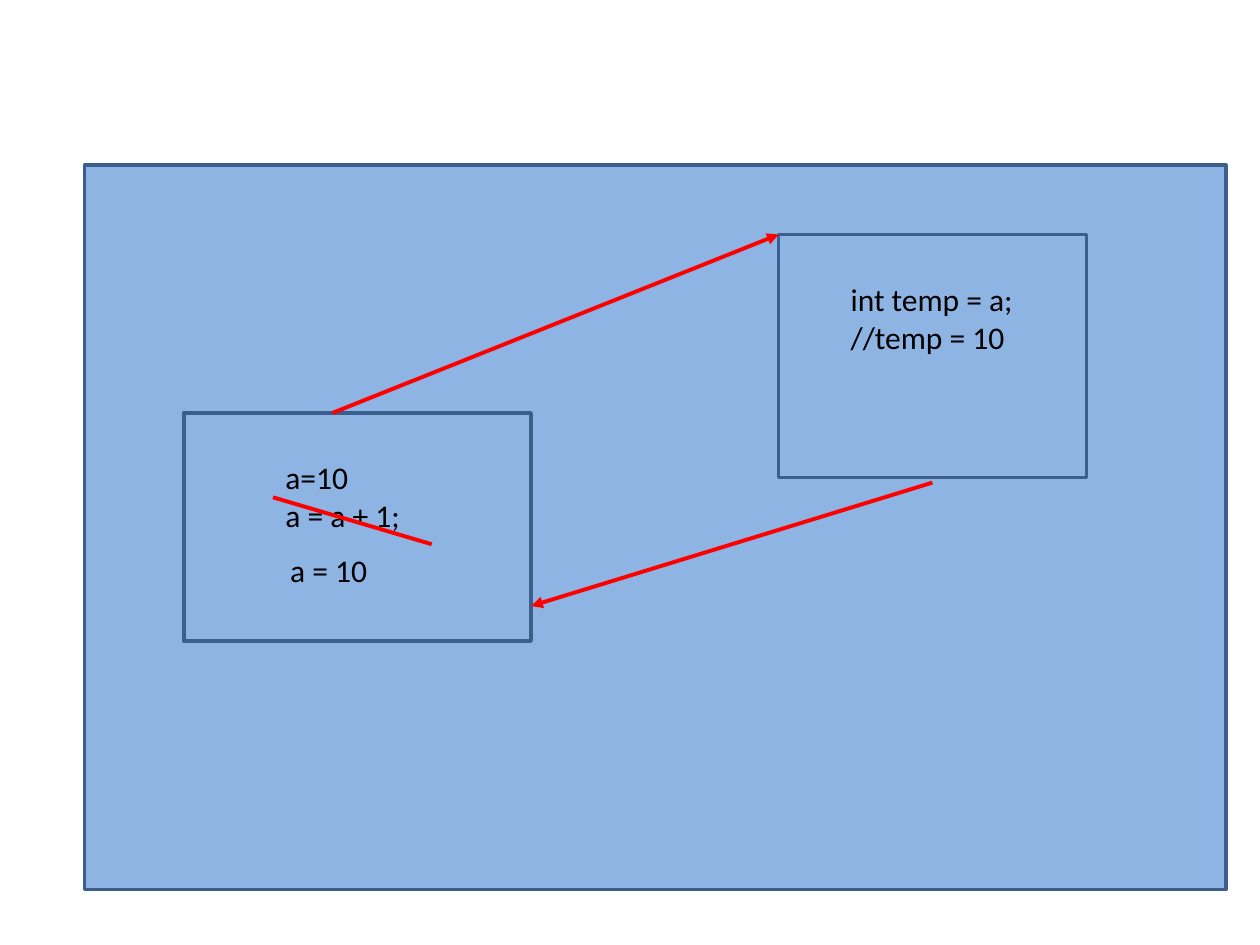
from lxml.etree import SubElement
from pptx import Presentation
from pptx.dml.color import RGBColor as Color
from pptx.enum.shapes import MSO_CONNECTOR as Connector, MSO_SHAPE as Shape
from pptx.enum.text import MSO_AUTO_SIZE as AutoSize
from pptx.oxml.ns import qn
from pptx.util import Pt

THEME = {
    "fill": Color.from_string("8EB4E3"),
    "border": Color.from_string("3A5F8C"),
    "accent": Color.from_string("FF0000"),
    "text": Color.from_string("000000"),
    "font": "Calibri",
    "size": 18,
    "border_width": 2,
    "line_width": 2.25,
}

# Content: left, top, width, height in points
BOXES = [
    (48.3, 94.3, 652.2, 414),     # memory area
    (105, 236, 198.5, 130.3),     # caller
    (445, 134, 175.8, 139),       # called method
]
NOTES = [
    ((156, 258.3, 108, 51), ["a=10", "a = a + 1;"]),
    ((479, 156.5, 119, 51), ["int temp = a;", "//temp = 10"]),
    ((158.7, 311.3, 119, 29), ["a = 10"]),
]
# Start, end, arrowhead at the end
LINES = [
    ((190, 236), (445, 134), True),         # call
    ((532.8, 275.8), (303.5, 346.3), True),   # return
    ((156, 284.2), (246.7, 311), False),    # strike-out
]


def add_box(page, frame):
    box = page.shapes.add_shape(Shape.RECTANGLE, *map(Pt, frame))
    box.shadow.inherit = False
    box.fill.solid()
    box.fill.fore_color.rgb = THEME["fill"]
    box.line.color.rgb = THEME["border"]
    box.line.width = Pt(THEME["border_width"])


def add_note(page, frame, rows):
    text_frame = page.shapes.add_textbox(*map(Pt, frame)).text_frame
    text_frame.word_wrap = True
    text_frame.auto_size = AutoSize.SHAPE_TO_FIT_TEXT
    text_frame.text = "\n".join(rows)
    for para in text_frame.paragraphs:
        for span in para.runs:
            span.font.name = THEME["font"]
            span.font.size = Pt(THEME["size"])
            span.font.color.rgb = THEME["text"]


def add_line(page, start, end, arrow):
    line = page.shapes.add_connector(Connector.STRAIGHT, *map(Pt, start + end))
    line.line.color.rgb = THEME["accent"]
    line.line.width = Pt(THEME["line_width"])
    if arrow:
        SubElement(line.line._get_or_add_ln(), qn("a:tailEnd"), type="triangle")
    SubElement(line._element.spPr, qn("a:effectLst"))


def main():
    deck = Presentation()
    deck.slide_width, deck.slide_height = Pt(720), Pt(540)
    page = deck.slides.add_slide(deck.slide_layouts[6])
    for frame in BOXES:
        add_box(page, frame)
    for frame, rows in NOTES:
        add_note(page, frame, rows)
    for start, end, arrow in LINES:
        add_line(page, start, end, arrow)
    deck.save("out.pptx")


if __name__ == "__main__":
    main()
